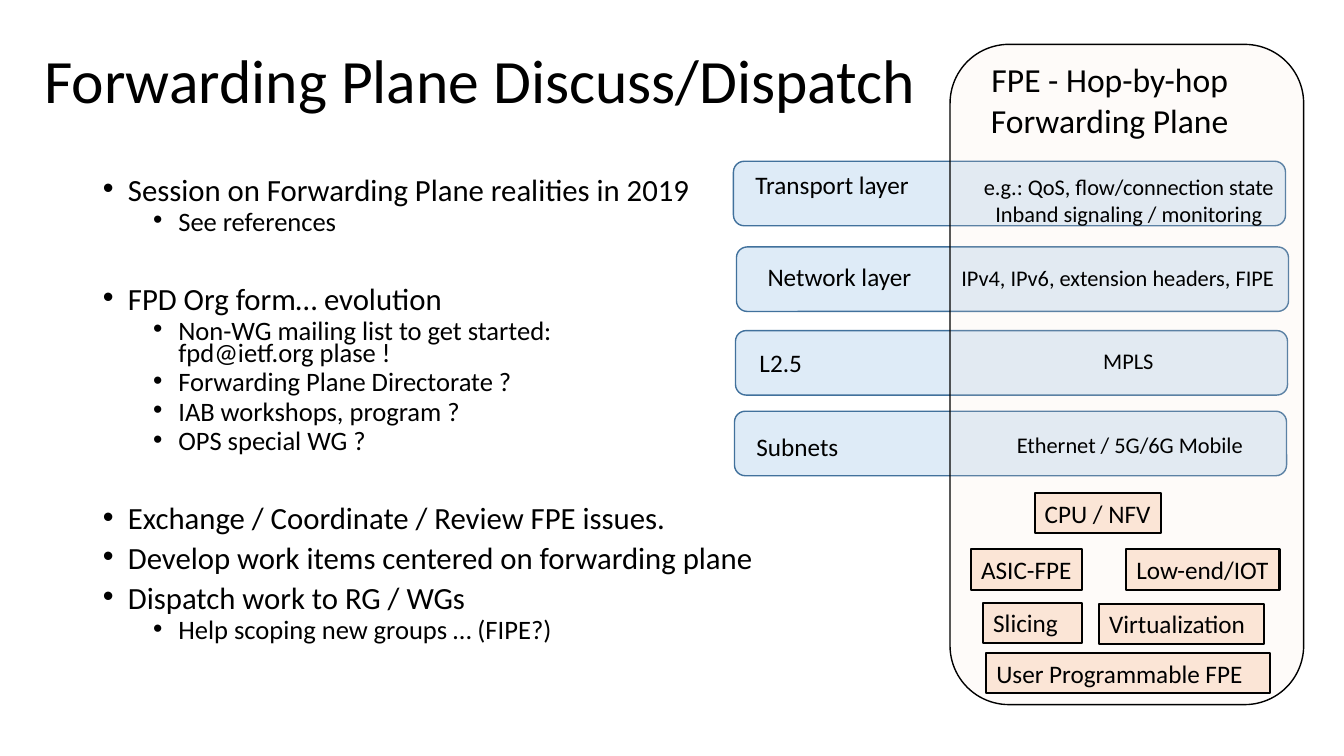
from lxml.etree import SubElement
from pptx import Presentation
from pptx.dml.color import RGBColor
from pptx.enum.shapes import MSO_SHAPE
from pptx.enum.text import MSO_ANCHOR, MSO_AUTO_SIZE, PP_ALIGN
from pptx.oxml.ns import qn
from pptx.util import Inches, Pt

BLACK = RGBColor(0x00, 0x00, 0x00)
LAYER_FILL = RGBColor(0xDE, 0xEB, 0xF7)
LAYER_LINE = RGBColor(0x41, 0x71, 0x9C)
PEACH = RGBColor(0xFB, 0xE5, 0xD6)

# Bullets: text, level, starts a new group
BULLETS = [
    ("Session on Forwarding Plane realities in 2019", 0, False),
    ("See references", 1, False),
    ("FPD Org form… evolution", 0, True),
    ("Non-WG mailing list to get started:\nfpd@ietf.org plase !", 1, False),
    ("Forwarding Plane Directorate ?", 1, False),
    ("IAB workshops, program ?", 1, False),
    ("OPS special WG ?", 1, False),
    ("Exchange / Coordinate / Review FPE issues.", 0, True),
    ("Develop work items centered on forwarding plane", 0, False),
    ("Dispatch work to RG / WGs", 0, False),
    ("Help scoping new groups … (FIPE?)", 1, False),
]
# Layers: bar left and top, label and its box, examples and their box
LAYERS = [
    (7.28, 1.6, "Transport layer", (7.4, 1.63, 1.8, 0.4),
     ["e.g.: QoS, flow/connection state", "Inband signaling / monitoring"], (9.66, 1.67, 3.09, 0.64)),
    (7.31, 2.45, "Network layer", (7.52, 2.54, 1.7, 0.4),
     ["IPv4, IPv6, extension headers, FIPE"], (9.44, 2.57, 3.31, 0.37)),
    (7.3, 3.28, "L2.5", (7.44, 3.4, 0.7, 0.4), ["MPLS"], (10.85, 3.39, 0.7, 0.37)),
    (7.29, 4.08, "Subnets", (7.41, 4.23, 1.1, 0.4),
     ["Ethernet / 5G/6G Mobile"], (9.99, 4.23, 2.45, 0.37)),
]
# Platforms: text, left, top, width, wraps
PLATFORMS = [
    ("CPU / NFV", 10.27, 4.89, 1.25, False),
    ("Low-end/IOT", 11.18, 5.45, 1.52, False),
    ("ASIC-FPE", 9.64, 5.45, 1.1, False),
    ("User Programmable FPE", 9.79, 6.48, 2.82, True),
    ("Virtualization", 10.91, 5.99, 1.64, True),
    ("Slicing", 9.76, 5.98, 0.98, True),
]


class SlideBuilder:
    font = "Calibri"

    def __init__(self, slide):
        self.slide = slide

    def run(self, p, text, size):
        r = p.add_run()
        r.text = text
        r.font.name = self.font
        r.font.size = Pt(size)
        r.font.color.rgb = BLACK

    def lines(self, tf, texts, size, align=PP_ALIGN.LEFT, wrap=False):
        tf.word_wrap = wrap
        tf.vertical_anchor = MSO_ANCHOR.TOP
        tf.auto_size = MSO_AUTO_SIZE.SHAPE_TO_FIT_TEXT
        for i, text in enumerate(texts):
            p = tf.add_paragraph() if i else tf.paragraphs[0]
            p.alignment = align
            self.run(p, text, size)

    def place(self, sp, box):
        sp.left, sp.top, sp.width, sp.height = map(Inches, box)
        sp.text_frame.word_wrap = True
        sp.text_frame.auto_size = MSO_AUTO_SIZE.NONE
        return sp.text_frame

    def title(self, text, box):
        tf = self.place(self.slide.shapes.title, box)
        tf.vertical_anchor = MSO_ANCHOR.MIDDLE
        p = tf.paragraphs[0]
        p.alignment = PP_ALIGN.LEFT
        p.line_spacing = 0.9
        self.run(p, text, 44)

    def bullets(self, items, box):
        tf = self.place(self.slide.placeholders[1], box)
        for i, (text, level, new_group) in enumerate(items):
            p = tf.add_paragraph() if i else tf.paragraphs[0]
            p.level = level
            p.line_spacing = 0.7
            p.space_before = Pt(38.5 if new_group else 5 if level else 10)
            pPr = p._p.get_or_add_pPr()
            pPr.set("marL", str(Inches(0.25 + 0.5 * level)))
            pPr.set("indent", str(Inches(-0.25)))
            SubElement(pPr, qn("a:buFont"), typeface="Arial")
            SubElement(pPr, qn("a:buChar"), char="•")
            for n, line in enumerate(text.split("\n")):
                if n:
                    p.add_line_break()
                self.run(p, line, 19 if level else 22)

    def box(self, kind, box, fill, line, width=1):
        sp = self.slide.shapes.add_shape(kind, *map(Inches, box))
        sp.shadow.inherit = False
        sp.fill.solid()
        sp.fill.fore_color.rgb = fill
        sp.line.color.rgb = line
        sp.line.width = Pt(width)
        return sp

    def label(self, texts, box, size, align=PP_ALIGN.LEFT, wrap=False):
        sp = self.slide.shapes.add_textbox(*map(Inches, box))
        self.lines(sp.text_frame, texts, size, align, wrap)

    def panel(self, box, opacity):
        """Draw a see-through rounded panel; opacity is in percent."""
        sp = self.box(MSO_SHAPE.ROUNDED_RECTANGLE, box, PEACH, BLACK)
        color = sp._element.spPr.find(qn("a:solidFill")).find(qn("a:srgbClr"))
        SubElement(color, qn("a:alpha"), val=str(opacity * 1000))


def main():
    prs = Presentation()
    prs.slide_width, prs.slide_height = Inches(13.34), Inches(7.5)
    s = SlideBuilder(prs.slides.add_slide(prs.slide_layouts[1]))

    s.title("Forwarding Plane Discuss/Dispatch", (0.34, 0.1, 11.92, 1.45))
    s.bullets(BULLETS, (0.92, 1.74, 6.72, 5.02))

    for left, top, name, name_box, _, _ in LAYERS:
        s.box(MSO_SHAPE.ROUNDED_RECTANGLE, (left, top, 5.48, 0.64), LAYER_FILL, LAYER_LINE)
        s.label([name], name_box, 18, wrap=True)

    s.panel((9.43, 0.44, 3.51, 6.55), 14)
    s.label(["FPE - Hop-by-hop", "Forwarding Plane"], (9.73, 0.54, 2.57, 0.9), 24, PP_ALIGN.CENTER)
    for *_, examples, examples_box in LAYERS:
        s.label(examples, examples_box, 16, PP_ALIGN.CENTER)

    for text, left, top, width, wrap in PLATFORMS:
        sp = s.box(MSO_SHAPE.RECTANGLE, (left, top, width, 0.4), PEACH, BLACK, 1.5)
        s.lines(sp.text_frame, [text], 18, wrap=wrap)

    prs.save("out.pptx")


if __name__ == "__main__":
    main()
